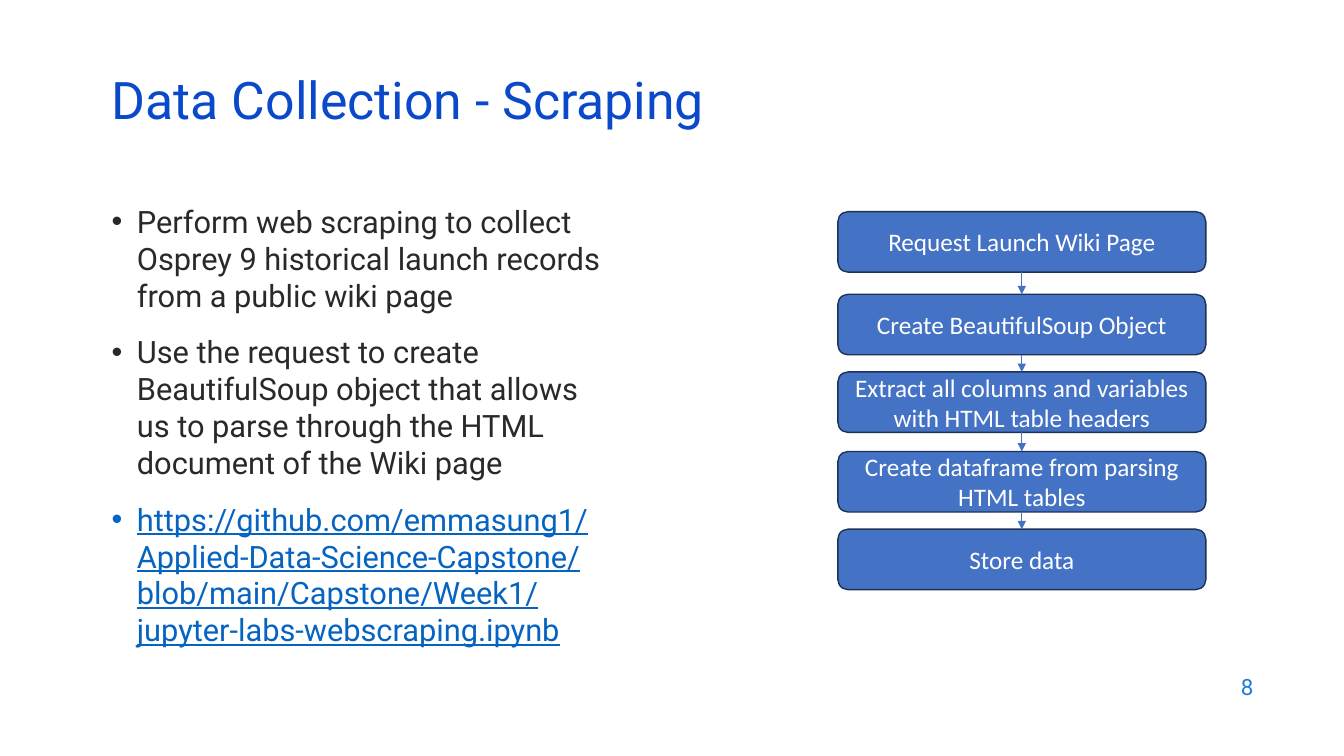
from lxml import etree
from pptx import Presentation
from pptx.dml.color import RGBColor
from pptx.enum.shapes import MSO_CONNECTOR, MSO_SHAPE
from pptx.enum.text import MSO_ANCHOR, MSO_AUTO_SIZE, PP_ALIGN
from pptx.oxml.ns import qn
from pptx.util import Inches, Pt

STRAIGHT = MSO_CONNECTOR.STRAIGHT
ROUNDED = MSO_SHAPE.ROUNDED_RECTANGLE
MIDDLE = MSO_ANCHOR.MIDDLE
NO_FIT = MSO_AUTO_SIZE.NONE
LEFT, CENTER, RIGHT = PP_ALIGN.LEFT, PP_ALIGN.CENTER, PP_ALIGN.RIGHT

TITLE_BLUE = RGBColor(0x0B, 0x49, 0xCB)
NUMBER_BLUE = RGBColor(0x1C, 0x7D, 0xDB)
LINK_BLUE = RGBColor(0x05, 0x63, 0xC1)
STEP_BLUE = RGBColor(0x44, 0x72, 0xC4)
STEP_EDGE = RGBColor(0x1E, 0x32, 0x56)
INK = RGBColor(0x29, 0x29, 0x29)
WHITE = RGBColor(0xFF, 0xFF, 0xFF)

TITLE_ONLY = 5
BOTTOM, TOP = 2, 0

BULLETS = [
    ("Perform web scraping to collect Osprey 9 historical launch records from a public wiki page", False),
    ("Use the request to create BeautifulSoup object that allows us to parse through "
     "the HTML document of the Wiki page", False),
    ("https://github.com/emmasung1/Applied-Data-Science-Capstone/blob/main/Capstone/Week1/"
     "jupyter-labs-webscraping.ipynb", True),
]
STEPS = [
    ("Request Launch Wiki Page", 2.1),
    ("Create BeautifulSoup Object", 2.92),
    ("Extract all columns and variables with HTML table headers", 3.69),
    ("Create dataframe from parsing HTML tables", 4.48),
    ("Store data", 5.25),
]


class FlowSlide:
    """Draws the title, bullets, steps and arrows of one slide in a shared style."""

    text_font = "Roboto"
    step_font = "Calibri"

    def __init__(self, deck):
        self.page = deck.slides.add_slide(deck.slide_layouts[TITLE_ONLY])
        self.shapes = self.page.shapes

    def format(self, para, size, color, align=LEFT, name=text_font):
        para.alignment = align
        para.font.name = name
        para.font.size = Pt(size)
        para.font.color.rgb = color

    def title(self, text, left, top, width, height):
        box = self.shapes.title
        box.left, box.top = Inches(left), Inches(top)
        box.width, box.height = Inches(width), Inches(height)
        frame = box.text_frame
        frame.text = text
        frame.auto_size = NO_FIT
        frame.vertical_anchor = MIDDLE
        para = frame.paragraphs[0]
        para.line_spacing = 0.7
        self.format(para, 37, TITLE_BLUE)

    def text_box(self, left, top, width, height):
        box = self.shapes.add_textbox(Inches(left), Inches(top), Inches(width), Inches(height))
        box.text_frame.word_wrap = True
        return box.text_frame

    def page_number(self, text, left, top, width, height):
        frame = self.text_box(left, top, width, height)
        frame.text = text
        frame.vertical_anchor = MIDDLE
        self.format(frame.paragraphs[0], 16, NUMBER_BLUE, RIGHT)

    def bullets(self, items, left, top, width, height):
        frame = self.text_box(left, top, width, height)
        for index, (text, is_link) in enumerate(items):
            para = frame.add_paragraph() if index else frame.paragraphs[0]
            if index:
                para.space_before = Pt(14)
            properties = para._p.get_or_add_pPr()
            properties.set("marL", str(Inches(0.25)))
            properties.set("indent", str(-Inches(0.25)))
            etree.SubElement(properties, qn("a:buFont"), typeface="Arial")
            etree.SubElement(properties, qn("a:buChar"), char="•")
            span = para.add_run()
            span.text = text
            self.format(para, 22, LINK_BLUE if is_link else INK)
            if is_link:
                span.font.color.rgb = LINK_BLUE
                span.font.underline = True

    def step(self, text, left, top, width, height):
        box = self.shapes.add_shape(ROUNDED, Inches(left), Inches(top), Inches(width), Inches(height))
        box.shadow.inherit = False
        box.fill.solid()
        box.fill.fore_color.rgb = STEP_BLUE
        box.line.color.rgb = STEP_EDGE
        box.line.width = Pt(1)
        frame = box.text_frame
        frame.text = text
        frame.word_wrap = True
        frame.vertical_anchor = MIDDLE
        self.format(frame.paragraphs[0], 18, WHITE, CENTER, self.step_font)
        return box

    def arrow(self, upper, lower):
        line = self.shapes.add_connector(STRAIGHT, 0, 0, 0, 0)
        line.begin_connect(upper, BOTTOM)
        line.end_connect(lower, TOP)
        line.line.color.rgb = STEP_BLUE
        line.line.width = Pt(0.5)
        etree.SubElement(line.line._get_or_add_ln(), qn("a:tailEnd"), type="triangle")
        etree.SubElement(line._element.spPr, qn("a:effectLst"))


def main():
    deck = Presentation()
    deck.slide_width, deck.slide_height = Inches(13.33), Inches(7.5)
    slide = FlowSlide(deck)
    slide.title("Data Collection - Scraping", 1.01, 0.76, 11.5, 0.6)
    slide.bullets(BULLETS, 1.01, 1.96, 5.16, 4.63)
    boxes = [slide.step(text, 8.31, top, 3.65, 0.6) for text, top in STEPS]
    for upper, lower in zip(boxes, boxes[1:]):
        slide.arrow(upper, lower)
    slide.page_number("8", 9.53, 6.59, 3, 0.44)
    deck.save("out.pptx")


if __name__ == "__main__":
    main()
